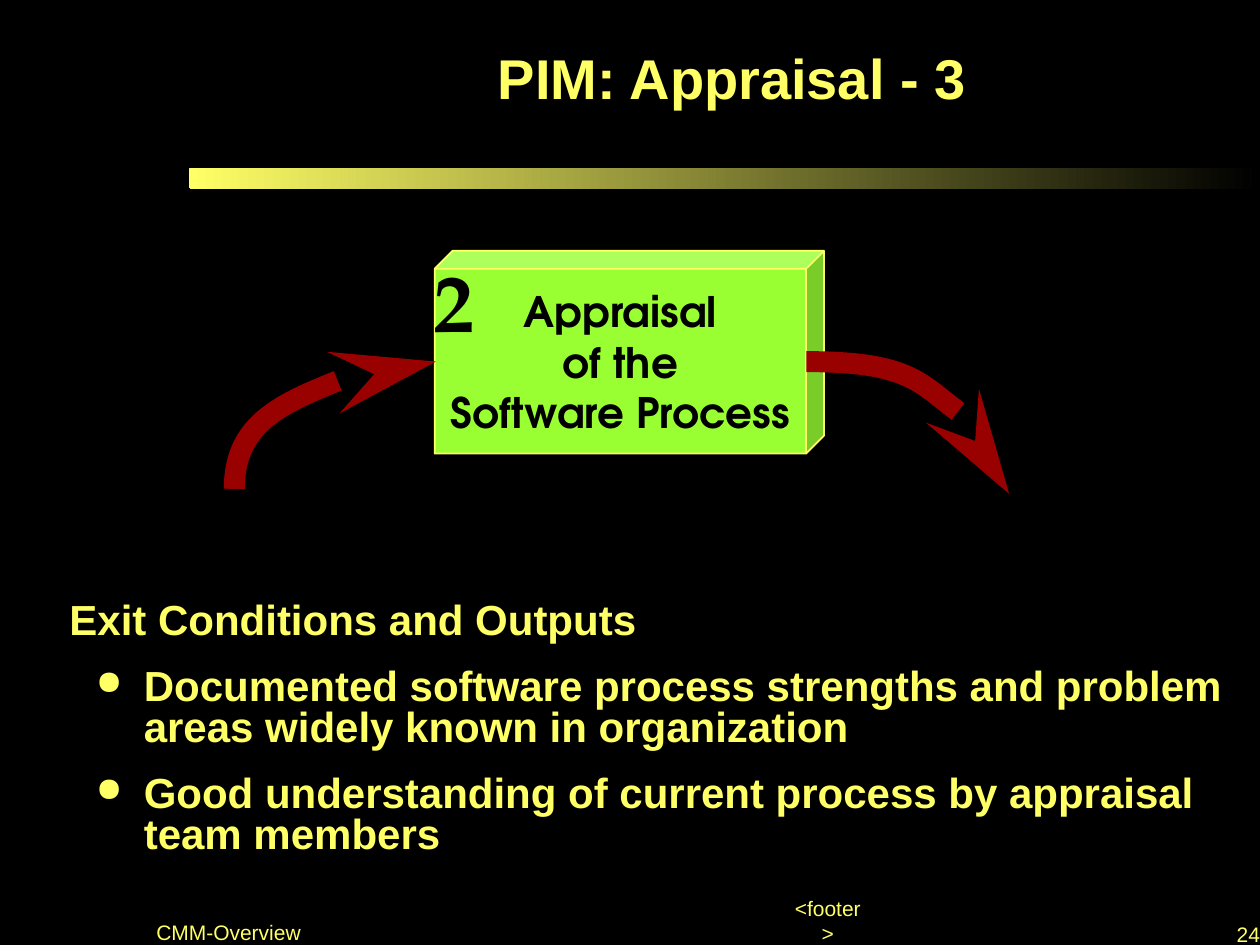
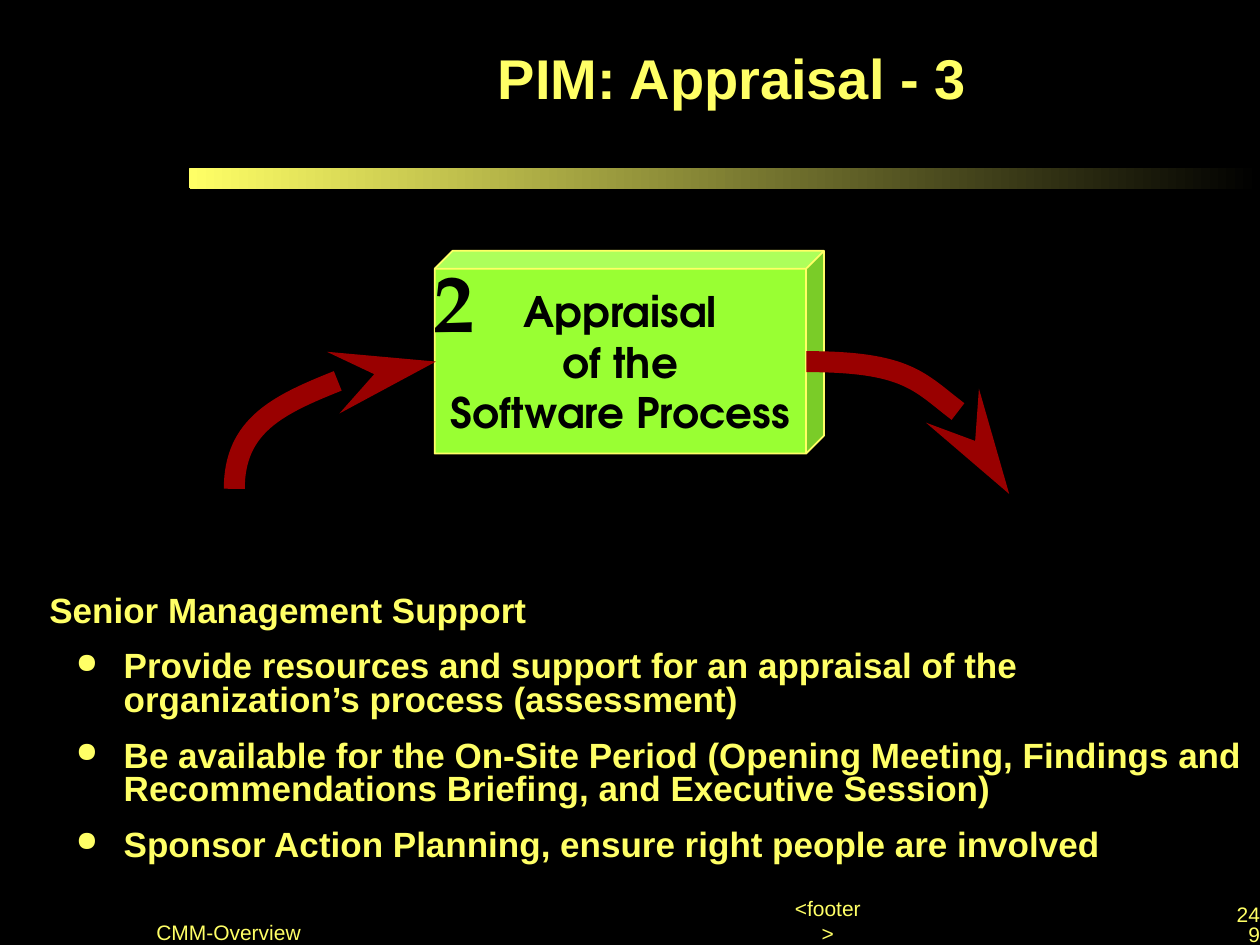
import dataclasses

import pptx
import pptx.dml.color
import pptx.enum.shapes
import pptx.enum.text
import pptx.oxml
import pptx.oxml.ns
import pptx.util
from lxml import etree

SHAPES = pptx.enum.shapes.MSO_SHAPE
ALIGN = pptx.enum.text.PP_ALIGN
ANCHOR = pptx.enum.text.MSO_ANCHOR
COLUMNS, ROWS = 100, 75


@dataclasses.dataclass(frozen=True)
class Theme:
    """Colours, fonts and type sizes of the deck."""

    ground: str = "000000"
    accent: str = "FFFF66"
    process: str = "99FF33"
    flow: str = "990000"
    ink: str = "000000"
    text_font: str = "Arial"
    process_font: str = "TeX Gyre Adventor"
    number_font: str = "TeX Gyre Pagella"
    title_size: int = 32
    process_size: int = 24
    number_size: int = 47
    footer_size: int = 12
    flow_width: int = 12
    leading: float = 0.8


def rgb(value):
    """Turn a hex string into a colour."""
    return pptx.dml.color.RGBColor.from_string(value)


def add_child(parent, tag, **attributes):
    """Append one DrawingML element."""
    return etree.SubElement(parent, pptx.oxml.ns.qn(tag), attributes)


class Painter:
    """Draws styled elements on the current page, measured in grid columns and rows."""

    def __init__(self, deck, theme):
        """Keep the deck and its theme."""
        self.deck, self.theme, self.page = deck, theme, None

    def x(self, columns):
        """Convert columns to a length."""
        return round(self.deck.slide_width * columns / COLUMNS)

    def y(self, rows):
        """Convert rows to a length."""
        return round(self.deck.slide_height * rows / ROWS)

    def place(self, area):
        """Convert left, top, width and height."""
        left, top, width, height = area
        return self.x(left), self.y(top), self.x(width), self.y(height)

    def new_page(self):
        """Start a page with the theme's ground."""
        self.page = self.deck.slides.add_slide(self.deck.slide_layouts[6])
        fill = self.page.background.fill
        fill.solid()
        fill.fore_color.rgb = rgb(self.theme.ground)

    def shape(self, kind, area, corner):
        """Add a preset shape without shadow."""
        shape = self.page.shapes.add_shape(kind, *self.place(area))
        shape.adjustments[0] = corner
        shape.shadow.inherit = False
        return shape

    def band(self, area):
        """Add the bar that fades to the ground."""
        bar = self.shape(SHAPES.ROUNDED_RECTANGLE, area, 0.167)
        bar.line.fill.background()
        bar.fill.gradient()
        bar.fill.gradient_angle = 180
        for stop, color in zip(bar.fill.gradient_stops, (self.theme.ground, self.theme.accent)):
            stop.color.rgb = rgb(color)

    def frame(self, box, anchor, wrap=True, insets=(0, 0)):
        """Set up the text frame of a box."""
        frame = box.text_frame
        frame.word_wrap = wrap
        frame.vertical_anchor = anchor
        frame.margin_left = frame.margin_right = self.x(insets[0])
        frame.margin_top = frame.margin_bottom = self.y(insets[1])
        return frame

    def paragraphs(self, frame, texts, size, color=None, font=None, bold=True,
                   align=ALIGN.LEFT, leading=None, gap=0):
        """Fill a frame with one paragraph per text."""
        for index, text in enumerate(texts):
            para = frame.add_paragraph() if index else frame.paragraphs[0]
            para.alignment = align
            if leading:
                para.line_spacing = leading
            if index and gap:
                para.space_before = pptx.util.Pt(gap)
            span = para.add_run()
            span.text = text
            span.font.size = pptx.util.Pt(size)
            span.font.bold = bold
            span.font.name = font or self.theme.text_font
            span.font.color.rgb = rgb(color or self.theme.accent)

    def text(self, area, texts, size, anchor=ANCHOR.MIDDLE, wrap=True, insets=(0, 0),
             centred=False, **style):
        """Add a text box and return its frame."""
        box = self.page.shapes.add_textbox(*self.place(area))
        frame = self.frame(box, anchor, wrap, insets)
        if not wrap:
            frame.auto_size = pptx.enum.text.MSO_AUTO_SIZE.SHAPE_TO_FIT_TEXT
        if centred:
            box.element.txBody.bodyPr.set("anchorCtr", "1")
        self.paragraphs(frame, texts, size, **style)
        return frame

    def bullet(self, para):
        """Indent a paragraph and give it a round bullet."""
        props = para._p.get_or_add_pPr()
        props.set("lvl", "1")
        props.set("marL", str(self.x(5.9)))
        props.set("indent", str(-self.x(3.8)))
        add_child(add_child(props, "a:buClr"), "a:srgbClr", val=self.theme.accent)
        add_child(props, "a:buSzPct", val="80000")
        add_child(props, "a:buChar", char="●")

    def body(self, heading, points, size):
        """Add a heading with bullets, centred as a block."""
        frame = self.text((2.5, 44.2, 97.5, 27.5), [heading, *points], size,
                          insets=(1, 0.5), centred=True,
                          leading=self.theme.leading, gap=size * 0.625)
        for para in frame.paragraphs[1:]:
            self.bullet(para)

    def cube(self, area, texts):
        """Add the process block."""
        cube = self.shape(SHAPES.CUBE, area, 0.089)
        cube.fill.solid()
        cube.fill.fore_color.rgb = rgb(self.theme.process)
        cube.line.color.rgb = rgb(self.theme.accent)
        cube.line.width = pptx.util.Pt(1)
        frame = self.frame(cube, ANCHOR.MIDDLE, False, (1, 0.5))
        self.paragraphs(frame, texts, self.theme.process_size, self.theme.ink,
                        self.theme.process_font, align=ALIGN.CENTER)

    def flow(self, start, end, upward=False):
        """Add a quarter-bend arrow; an upward one is a flipped bend turned by 90 degrees."""
        if upward:
            middle = [(a + b) / 2 for a, b in zip(start, end)]
            half = [abs(start[1] - end[1]) / 2, abs(start[0] - end[0]) / 2]
            start = [m + h for m, h in zip(middle, half)]
            end = [m - h for m, h in zip(middle, half)]
        arrow = self.page.shapes.add_connector(
            pptx.enum.shapes.MSO_CONNECTOR.CURVE,
            self.x(start[0]), self.y(start[1]), self.x(end[0]), self.y(end[1]))
        arrow.line.color.rgb = rgb(self.theme.flow)
        arrow.line.width = pptx.util.Pt(self.theme.flow_width)
        props = arrow.element.spPr
        props.find(pptx.oxml.ns.qn("a:prstGeom")).set("prst", "curvedConnector2")
        if upward:
            props.find(pptx.oxml.ns.qn("a:xfrm")).set("rot", "5400000")
        outline = props.find(pptx.oxml.ns.qn("a:ln"))
        add_child(outline, "a:tailEnd", type="stealth", w="med", len="lg")
        add_child(props, "a:effectLst")

    def footer(self, area, text, **style):
        """Add one footer entry."""
        self.text(area, [text], self.theme.footer_size, anchor=ANCHOR.BOTTOM, bold=False, **style)

    def appraisal_page(self, number, heading, points, size):
        """Build a page of the appraisal series."""
        theme = self.theme
        self.new_page()
        self.band((15, 13.3, 85, 1.7))
        self.footer((62.6, 73.1, 6.2, 2), "<footer>", wrap=False, align=ALIGN.CENTER)
        self.text((16.2, 0, 83.8, 13.3), ["PIM: Appraisal - 3"], theme.title_size,
                  centred=True, align=ALIGN.RIGHT, leading=theme.leading)
        self.body(heading, points, size)
        self.cube((34.5, 19.9, 30.9, 16.1), ["Appraisal", "of the", "Software Process"])
        self.text((34.4, 19.9, 3.7, 7.8), ["2"], theme.number_size, wrap=False,
                  color=theme.ink, font=theme.number_font)
        self.flow((18.6, 38.8), (34.6, 28.7), upward=True)
        self.flow((64, 28.7), (80.1, 39.2))
        self.footer((12.4, 71.8, 20.9, 3.2), "CMM-Overview", leading=theme.leading)
        self.footer((98, 73.5, 2, 1.6), number, align=ALIGN.RIGHT, leading=theme.leading)


def main():
    """Build and save the deck."""
    deck = pptx.Presentation()
    deck.slide_width = pptx.util.Inches(10)
    deck.slide_height = pptx.util.Inches(7.5)
    painter = Painter(deck, Theme())
    painter.appraisal_page("24", "Exit Conditions and Outputs", [
        "Documented software process strengths and problem areas widely known in organization",
        "Good understanding of current process by appraisal team members",
    ], 24)
    painter.appraisal_page("249", "Senior Management Support", [
        "Provide resources and support for an appraisal of the organization’s process (assessment)",
        "Be available for the On-Site Period (Opening Meeting, Findings and "
        "Recommendations Briefing, and Executive Session)",
        "Sponsor Action Planning, ensure right people are involved",
    ], 20)
    deck.save("out.pptx")


if __name__ == "__main__":
    main()
